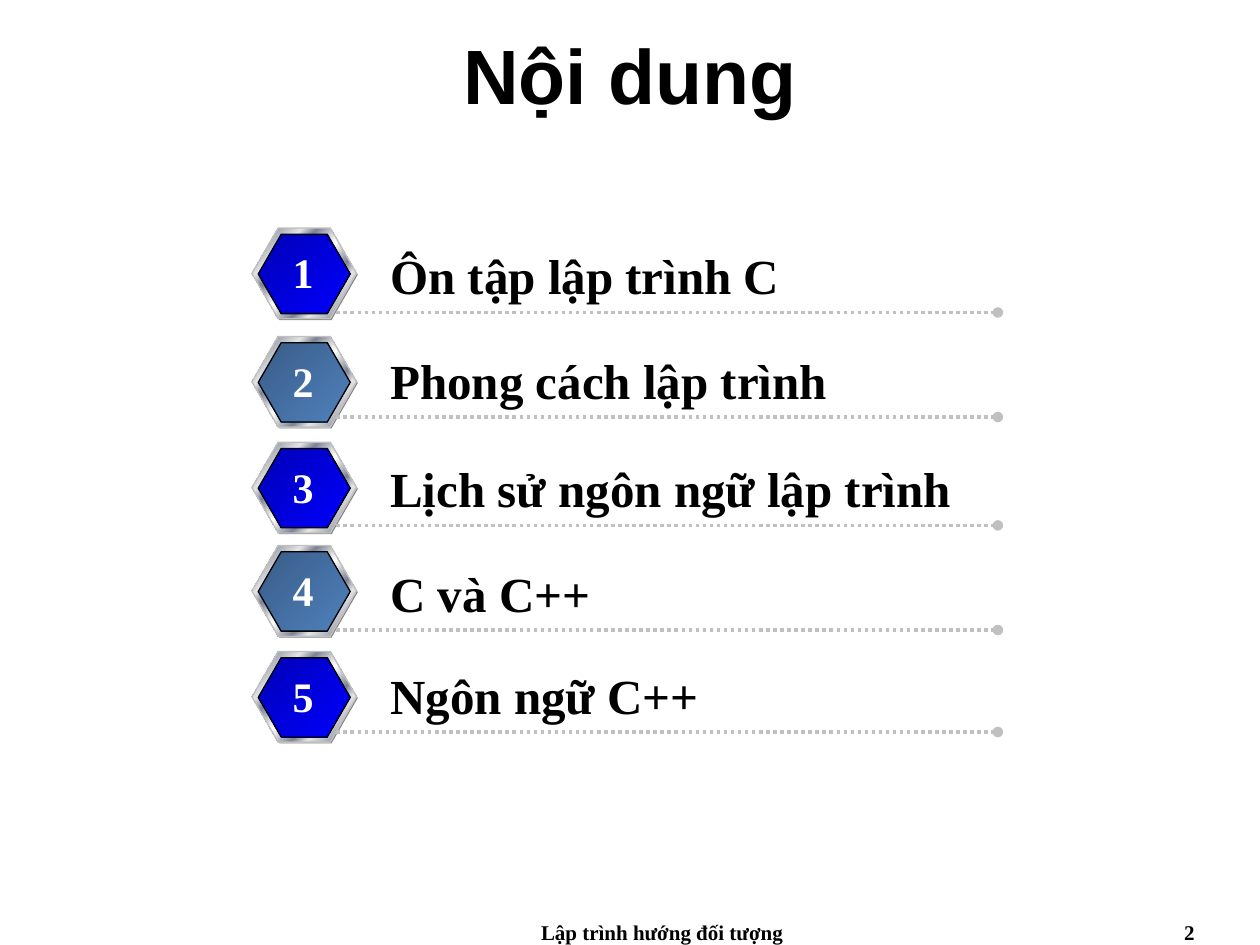
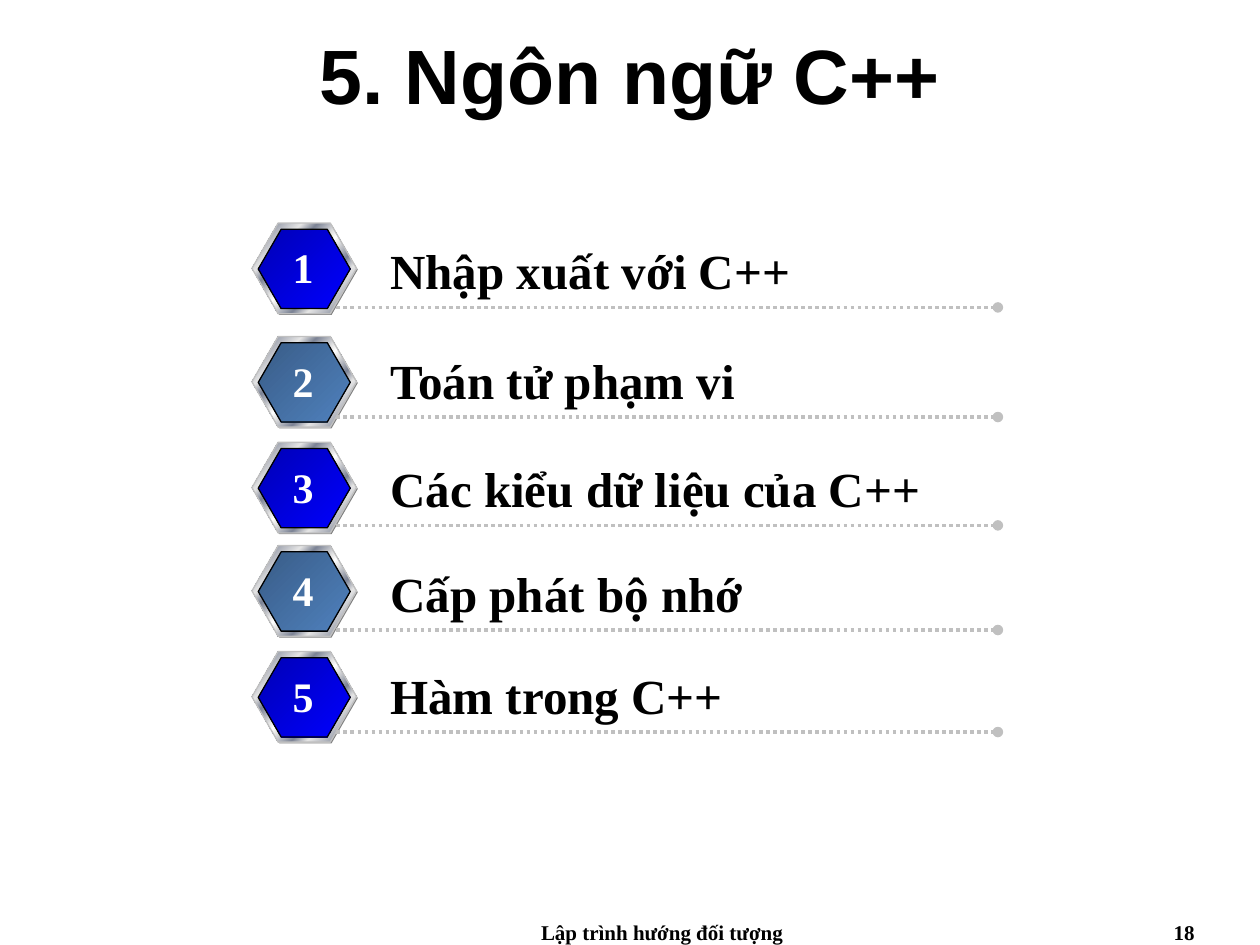
from lxml import etree
from pptx import Presentation
from pptx.dml.color import RGBColor
from pptx.enum import dml, shapes, text
from pptx.oxml import ns
from pptx.util import Inches, Pt

SERIF = "Times New Roman"
BLACK, WHITE, SILVER, SHADE = "000000", "FFFFFF", "C0C0C0", "808080"
METAL = [(0, "E6E6E6"), (7, "7D8496"), (26, "E6E6E6"), (34, "7D8496"),
         (46, "E6E6E6"), (50, "FFFFFF"), (54, "E6E6E6"), (66, "7D8496"),
         (74, "E6E6E6"), (93, "7D8496"), (100, "E6E6E6")]
BLUE = [(0, "0000B6"), (100, "0000FF")]
STEEL = [(0, "395C87"), (100, "4F81BD")]

FOOTER = "Lập trình hướng đối tượng"
FOOTER_STYLE = {"name": SERIF, "size": Pt(12), "bold": True}
LABEL_STYLE = {"name": SERIF, "size": Pt(28), "bold": True}
NUMBER_STYLE = {"name": SERIF, "size": Pt(24), "bold": True}
TITLE_STYLE = {"name": "Arial", "size": Pt(44), "bold": True}
LEFT, CENTER, RIGHT = (text.PP_ALIGN.LEFT, text.PP_ALIGN.CENTER,
                       text.PP_ALIGN.RIGHT)

# title, slide number, top of first hexagon, first dotted line, items
AGENDAS = [
    ("Nội dung", "2", 1.81, 2.48,
     ["Ôn tập lập trình C", "Phong cách lập trình",
      "Lịch sử ngôn ngữ lập trình", "C và C++", "Ngôn ngữ C++"]),
    ("5. Ngôn ngữ C++", "18", 1.77, 2.44,
     ["Nhập xuất với C++", "Toán tử phạm vi", "Các kiểu dữ liệu của C++",
      "Cấp phát bộ nhớ", "Hàm trong C++"]),
]
HEXAGON_TOPS = [2.67, 3.51, 4.33, 5.17]
LINE_TOPS = [3.31, 4.17, 5, 5.81]


def rgb(value):
    return RGBColor.from_string(value)


def write(sp, words, style, color=BLACK, align=LEFT, wrap=True):
    """Put one formatted paragraph into a shape."""
    tf = sp.text_frame
    tf.word_wrap = wrap
    p = tf.paragraphs[0]
    p.alignment = align
    r = p.add_run()
    r.text = words
    for name, value in style.items():
        setattr(r.font, name, value)
    r.font.color.rgb = rgb(color)


prs = Presentation()
prs.slide_width, prs.slide_height = Inches(10), Inches(7.5)

for title, page, first_hexagon, first_line, items in AGENDAS:
    s = prs.slides.add_slide(prs.slide_layouts[5])
    sp = s.shapes.title
    sp.left, sp.top, sp.width, sp.height = 0, 0, Inches(10), Inches(1.17)
    sp.text_frame.vertical_anchor = text.MSO_ANCHOR.MIDDLE
    write(sp, title, TITLE_STYLE, align=CENTER)

    for left, width, words, align in [(3.67, 3.17, FOOTER, CENTER),
                                      (7.25, 2.33, page, RIGHT)]:
        sp = s.shapes.add_textbox(Inches(left), Inches(7.25),
                                  Inches(width), Inches(0.25))
        write(sp, words, FOOTER_STYLE, align=align)

    rows = zip(items, [first_hexagon] + HEXAGON_TOPS, [first_line] + LINE_TOPS)
    for number, (item, top, line_top) in enumerate(rows, 1):
        row = s.shapes.add_group_shape().shapes

        # Hexagon badge: shade, metal rim, coloured face
        face = BLUE if number % 2 else STEEL
        for left, dy, width, height, stops, outline in [
                (2.01, 0.01, 0.83, 0.72, None, None),
                (2, 0, 0.83, 0.72, METAL, SILVER),
                (2.05, 0.05, 0.73, 0.63, face, BLACK)]:
            sp = row.add_shape(shapes.MSO_SHAPE.HEXAGON, Inches(left),
                               Inches(top + dy), Inches(width), Inches(height))
            sp.adjustments[0] = 0.289
            sp.shadow.inherit = False
            if stops:
                sp.fill.gradient()
                sp.fill.gradient_angle = 315
                gradient = sp.fill._xPr.find(ns.qn("a:gradFill"))
                stop_list = gradient.find(ns.qn("a:gsLst"))
                stop_list.clear()
                for position, color in stops:
                    stop = etree.SubElement(stop_list, ns.qn("a:gs"),
                                            pos=str(position * 1000))
                    etree.SubElement(stop, ns.qn("a:srgbClr"), val=color)
                sp.line.color.rgb = rgb(outline)
                sp.line.width = Pt(0.75)
            else:
                sp.fill.solid()
                sp.fill.fore_color.rgb = rgb(SHADE)
                sp.line.fill.background()

        line = row.add_connector(shapes.MSO_CONNECTOR.STRAIGHT,
                                 Inches(2.67), Inches(line_top),
                                 Inches(7.92), Inches(line_top))
        line.line.color.rgb = rgb(SILVER)
        line.line.width = Pt(2)
        line.line.dash_style = dml.MSO_LINE.ROUND_DOT
        properties = line._element.spPr
        etree.SubElement(properties.find(ns.qn("a:ln")), ns.qn("a:tailEnd"),
                         type="oval")
        etree.SubElement(properties, ns.qn("a:effectLst"))

        label = row.add_textbox(Inches(3), Inches(line_top - 0.58),
                                Inches(4.92), Inches(0.57))
        write(label, item, LABEL_STYLE)
        badge = row.add_textbox(Inches(2.22), Inches(top + 0.1),
                                Inches(0.37), Inches(0.5))
        write(badge, str(number), NUMBER_STYLE, WHITE, CENTER, wrap=False)

prs.save("out.pptx")
